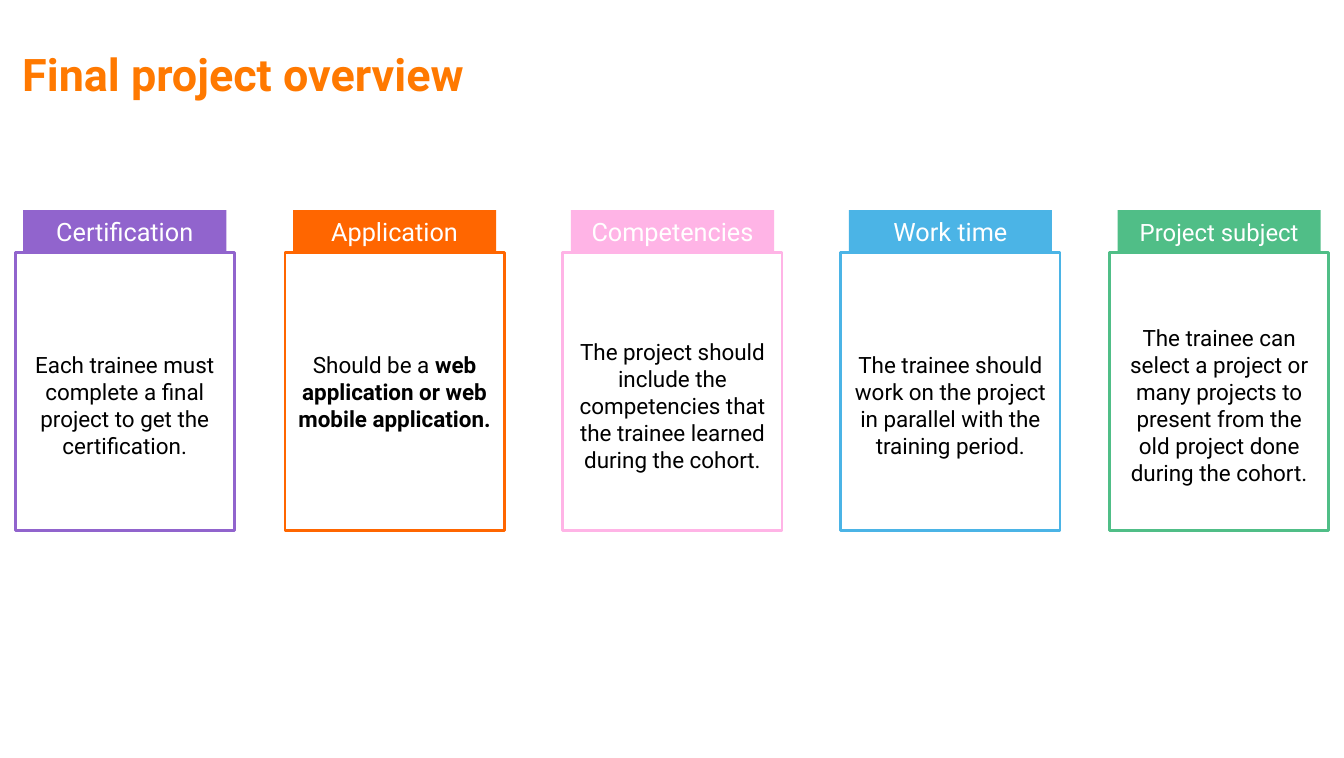
from pptx import Presentation
from pptx import util as u
from pptx.dml.color import RGBColor
from pptx.enum import shapes, text

PX = 9144  # 100 px to the inch
FONT = "Roboto"
COLORS = {
    "orange": "FF7900", "white": "FFFFFF", "black": "000000",
    "purple": "9164CD", "bright": "FF6600", "pink": "FFB4E6",
    "blue": "4BB4E6", "green": "50BE87",
}

# left, color, heading, heading size, body runs (text, bold), downward text offset
CARDS = [
    (15, "purple", "Certification", 18,
     [("Each trainee must complete a final project to get the certification.", False)], 27),
    (282, "bright", "Application", 18,
     [("Should be a ", False), ("web application or web mobile application.", True)], 0),
    (557, "pink", "Competencies", 18,
     [("The project should include the competencies that the trainee learned "
       "during the cohort.", False)], 27),
    (832, "blue", "Work time", 18,
     [("The trainee should work on the project in parallel with the training period.",
       False)], 27),
    (1098, "green", "Project subject", 17,
     [("The trainee can select a project or many projects to present from the old "
       "project done during the cohort.", False)], 27),
]


def px(*lengths):
    return [u.Emu(length * PX) for length in lengths]


def rgb(name):
    return RGBColor.from_string(COLORS[name])


def add_rectangle(slide, box, fill=None, line=None):
    shape = slide.shapes.add_shape(shapes.MSO_SHAPE.RECTANGLE, *px(*box))
    shape.shadow.inherit = False
    if fill:
        shape.fill.solid()
        shape.fill.fore_color.rgb = rgb(fill)
    else:
        shape.fill.background()
    if line:
        shape.line.color.rgb = rgb(line)
        shape.line.width = u.Pt(2)
    else:
        shape.line.fill.background()
    return shape


def write_runs(shape, runs, size, color, align):
    frame = shape.text_frame
    frame.word_wrap = True
    paragraph = frame.paragraphs[0]
    paragraph.alignment = align
    for words, bold in runs:
        run = paragraph.add_run()
        run.text = words
        run.font.name = FONT
        run.font.size = u.Pt(size)
        run.font.bold = bold
        run.font.color.rgb = rgb(color)


def add_title(slide, box, words):
    shape = slide.shapes.add_textbox(*px(*box))
    frame = shape.text_frame
    frame.margin_left = frame.margin_top = frame.margin_right = frame.margin_bottom = 0
    write_runs(shape, [(words, True)], 32, "orange", text.PP_ALIGN.LEFT)


def add_card(slide, box, color, heading, heading_size, runs, offset):
    left, top, width, height = box
    tab_height, tab_inset = 42, 8
    center = text.PP_ALIGN.CENTER

    # Outlined body
    body = add_rectangle(slide, (left, top + tab_height, width, height - tab_height),
                         line=color)
    body.text_frame.vertical_anchor = text.MSO_ANCHOR.MIDDLE
    body.text_frame.margin_top = u.Emu((5 + offset) * PX)
    write_runs(body, runs, 16, "black", center)

    # Heading tab
    tab = add_rectangle(slide, (left + tab_inset, top, width - 2 * tab_inset, tab_height),
                        fill=color)
    tab.text_frame.vertical_anchor = text.MSO_ANCHOR.MIDDLE
    write_runs(tab, [(heading, False)], heading_size, "white", center)


def main():
    presentation = Presentation()
    presentation.slide_width, presentation.slide_height = px(1330, 750)
    slide = presentation.slides.add_slide(presentation.slide_layouts[6])

    add_title(slide, (22, 46, 952, 54), "Final project overview")

    # Row of cards
    for left, *content in CARDS:
        add_card(slide, (left, 208, 217, 317), *content)

    presentation.save("out.pptx")


if __name__ == "__main__":
    main()
